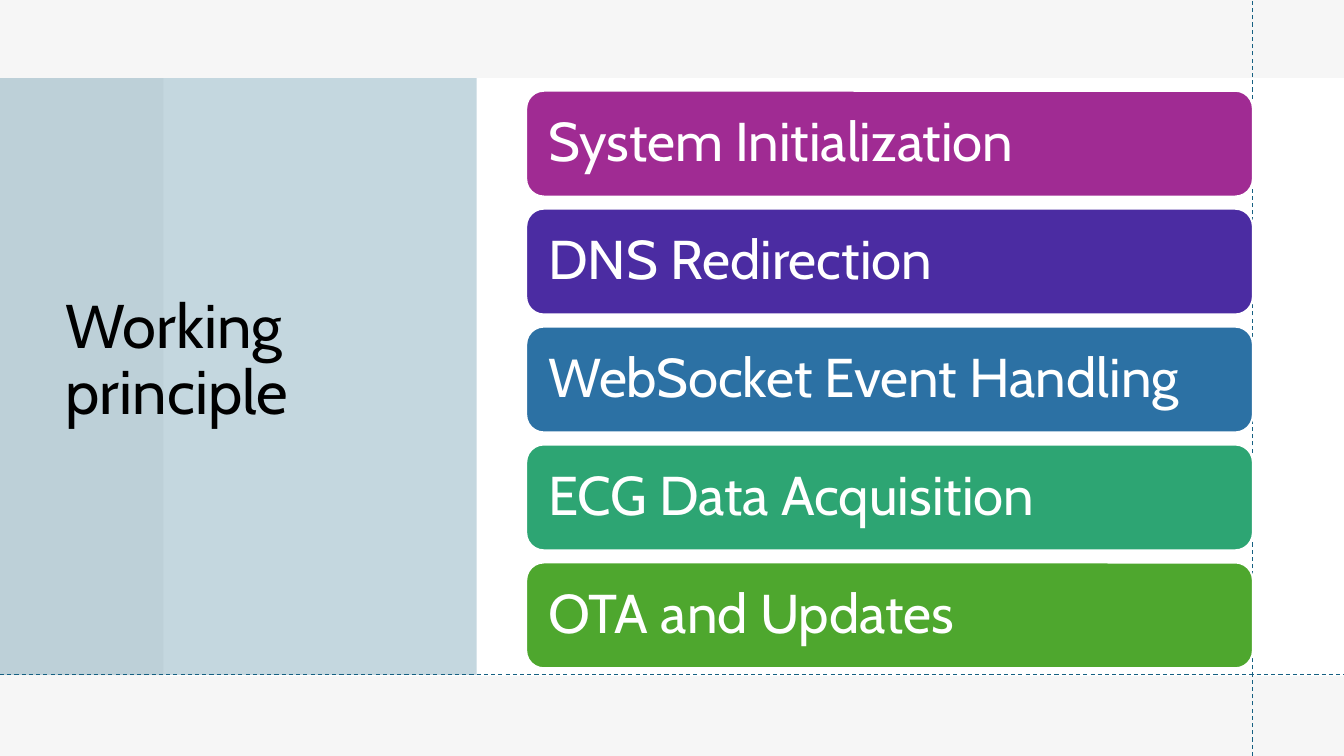
"""Build the "Working principle" slide with five stacked step cards."""
import pptx
import pptx.dml.color
import pptx.enum.dml
import pptx.enum.shapes
import pptx.enum.text
import pptx.oxml.ns
import pptx.util
from lxml import etree

Pt = pptx.util.Pt
RGBColor = pptx.dml.color.RGBColor
SHAPE = pptx.enum.shapes.MSO_SHAPE
qn = pptx.oxml.ns.qn

WHITE = RGBColor(0xFF, 0xFF, 0xFF)
BLACK = RGBColor(0x00, 0x00, 0x00)
GREY = RGBColor(0xE8, 0xE8, 0xE8)
PALE_GREY = RGBColor(0xF7, 0xF7, 0xF7)
TEAL = RGBColor(0x15, 0x60, 0x82)
PURPLE = RGBColor(0xA0, 0x2B, 0x93)
INDIGO = RGBColor(0x4B, 0x2C, 0xA2)
BLUE = RGBColor(0x2C, 0x71, 0xA4)
SEA_GREEN = RGBColor(0x2D, 0xA5, 0x73)
GREEN = RGBColor(0x4E, 0xA7, 0x2E)

WIDTH, HEIGHT = 960, 540
CARD_LEFT, CARD_TOP, CARD_WIDTH, CARD_HEIGHT = 375.84, 64.8, 519.12, 75.6
CARD_PITCH = 84.24
GUIDE_X, GUIDE_Y = 894.96, 481.68


def add_filled(kind, left, top, width, height, color):
    sp = s.shapes.add_shape(kind, Pt(left), Pt(top), Pt(width), Pt(height))
    sp.shadow.inherit = False
    sp.fill.solid()
    sp.fill.fore_color.rgb = color
    sp.line.fill.background()
    return sp


def format_text(tf, size, color):
    tf.word_wrap = True
    tf.auto_size = pptx.enum.text.MSO_AUTO_SIZE.NONE
    tf.vertical_anchor = pptx.enum.text.MSO_ANCHOR.MIDDLE
    p = tf.paragraphs[0]
    p.alignment = pptx.enum.text.PP_ALIGN.LEFT
    p.line_spacing = 0.9
    r = p.runs[0]
    r.font.name = "Cabin"
    r.font.size = Pt(size)
    r.font.color.rgb = color


prs = pptx.Presentation()
prs.slide_width, prs.slide_height = Pt(WIDTH), Pt(HEIGHT)
s = prs.slides.add_slide(prs.slide_layouts[5])
s.background.fill.solid()
s.background.fill.fore_color.rgb = PALE_GREY

panels = [
    (0, 0, WIDTH, HEIGHT, WHITE, 100),
    (0, 0, WIDTH, HEIGHT, GREY, 35),
    (116.64, 55.8, 843.36, 427.2, WHITE, 100),
    (0, 55.8, 340.56, 426.24, TEAL, 25),
]
for left, top, width, height, color, opacity in panels:
    sp = add_filled(SHAPE.RECTANGLE, left, top, width, height, color)
    if opacity < 100:
        clr = sp.element.spPr.find(qn("a:solidFill")).find(qn("a:srgbClr"))
        etree.SubElement(clr, qn("a:alpha"), val=str(opacity * 1000))

title = s.shapes.title
title.element.getparent().append(title.element)
title.left, title.top, title.width, title.height = Pt(39.6), Pt(53.28), Pt(284.4), Pt(409.68)
title.text_frame.text = "Working principle"
format_text(title.text_frame, 44, BLACK)

guides = [(GUIDE_X, HEIGHT, GUIDE_X, 0), (0, GUIDE_Y, WIDTH, GUIDE_Y)]
for x1, y1, x2, y2 in guides:
    line = s.shapes.add_connector(
        pptx.enum.shapes.MSO_CONNECTOR.STRAIGHT, Pt(x1), Pt(y1), Pt(x2), Pt(y2))
    line.line.color.rgb = TEAL
    line.line.width = Pt(0.75)
    line.line.dash_style = pptx.enum.dml.MSO_LINE.DASH
    etree.SubElement(line.element.spPr, qn("a:effectLst"))

steps = [
    ("System Initialization", PURPLE),
    ("DNS Redirection", INDIGO),
    ("WebSocket Event Handling", BLUE),
    ("ECG Data Acquisition", SEA_GREEN),
    ("OTA and Updates", GREEN),
]
for i, (label, color) in enumerate(steps):
    card = add_filled(SHAPE.ROUNDED_RECTANGLE, CARD_LEFT, CARD_TOP + i * CARD_PITCH,
                      CARD_WIDTH, CARD_HEIGHT, color)
    card.line.color.rgb = WHITE
    card.line.width = Pt(1.5)
    tf = card.text_frame
    tf.margin_left = tf.margin_right = Pt(12)
    tf.text = label
    format_text(tf, 39, WHITE)

prs.save("out.pptx")
